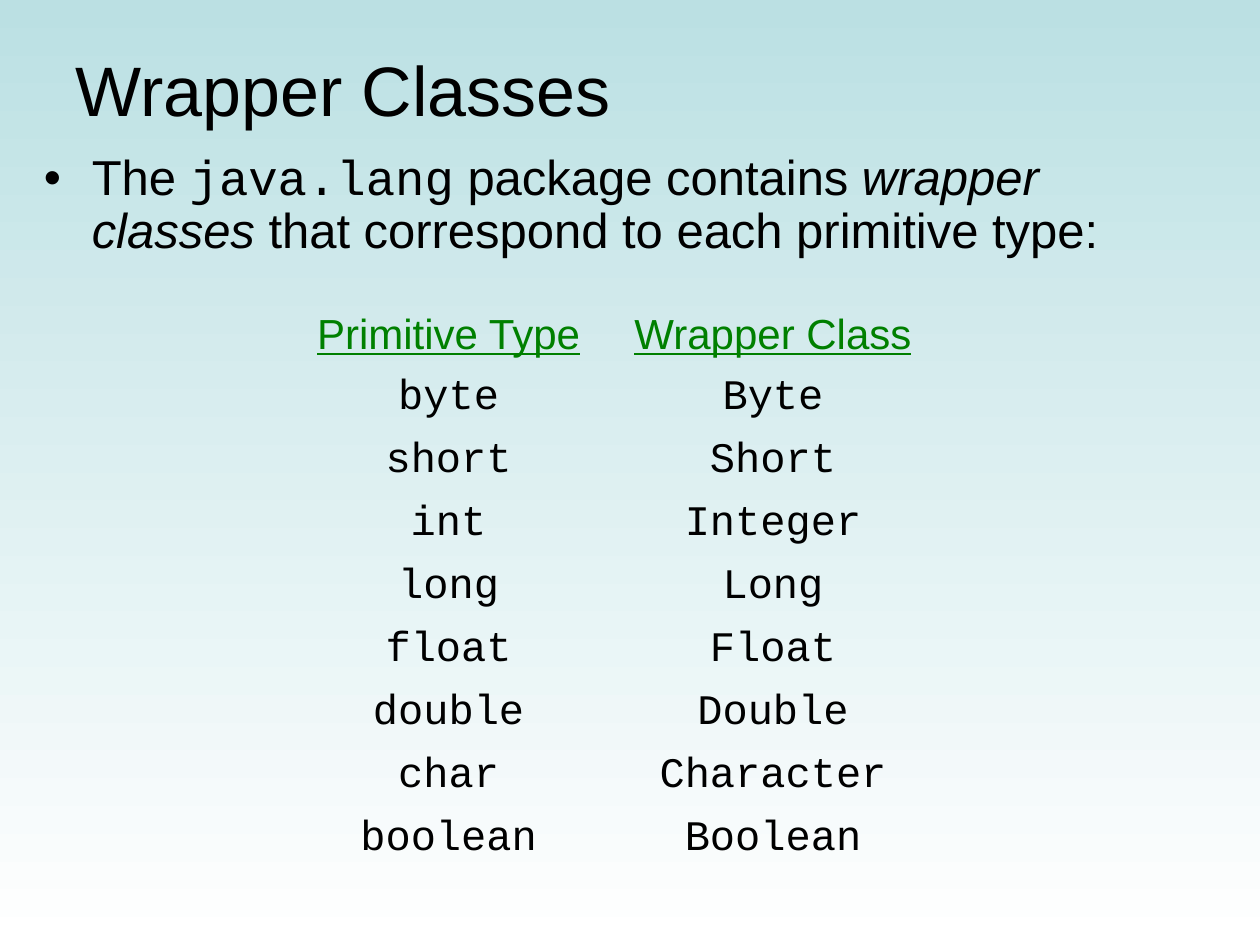
from lxml.etree import SubElement
from pptx import Presentation
from pptx.dml.color import RGBColor
from pptx.enum.text import MSO_ANCHOR, PP_ALIGN
from pptx.oxml.ns import qn
from pptx.util import Inches, Pt

TITLE = "Wrapper Classes"
# (text, style) pieces of the bullet
INTRO = [
    ("The ", None),
    ("java.lang", "code"),
    (" package contains ", None),
    ("wrapper classes", "term"),
    (" that correspond to each primitive type:", None),
]
TYPE_ROWS = [
    ("Primitive Type", "Wrapper Class"),
    ("byte", "Byte"),
    ("short", "Short"),
    ("int", "Integer"),
    ("long", "Long"),
    ("float", "Float"),
    ("double", "Double"),
    ("char", "Character"),
    ("boolean", "Boolean"),
]
COLUMN_WIDTHS = (2.62, 2.53)
ROW_HEIGHT, BYTE_ROW_HEIGHT = 0.48, 0.5

THEME = {
    "sky": RGBColor.from_string("BBE0E3"),
    "white": RGBColor.from_string("FFFFFF"),
    "ink": RGBColor.from_string("000000"),
    "heading": RGBColor.from_string("008000"),
    "text_font": "Arial",
    "code_font": "Courier New",
    "title_size": Pt(40),
    "intro_size": Pt(28),
    "table_size": Pt(24),
}
NO_STYLE_NO_GRID = "{2D5ABB26-0587-4C30-8999-92F81FD0307C}"


def place(shape, left, top, width, height):
    shape.left, shape.top = Inches(left), Inches(top)
    shape.width, shape.height = Inches(width), Inches(height)


def set_font(font, size, name="text_font", color="ink"):
    font.size = THEME[size]
    font.name = THEME[name]
    font.color.rgb = THEME[color]


def paint_background(slide):
    fill = slide.background.fill
    fill.gradient()
    fill.gradient_angle = 270
    for stop, color in zip(fill.gradient_stops, ("sky", "white")):
        stop.color.rgb = THEME[color]


def add_title(slide):
    title = slide.shapes.title
    place(title, 0.5, 0.08, 9.08, 1.25)
    title.text_frame.text = TITLE
    title.text_frame.vertical_anchor = MSO_ANCHOR.MIDDLE
    paragraph = title.text_frame.paragraphs[0]
    paragraph.alignment = PP_ALIGN.LEFT
    set_font(paragraph.font, "title_size")


def add_bullet(paragraph, indent):
    properties = paragraph._p.get_or_add_pPr()
    properties.set("marL", str(Inches(indent)))
    properties.set("indent", str(-Inches(indent)))
    SubElement(properties, qn("a:buFont"), typeface=THEME["text_font"])
    SubElement(properties, qn("a:buChar"), char="•")


def add_intro(slide):
    intro = slide.shapes.add_textbox(
        Inches(0.25), Inches(1.17), Inches(9.42), Inches(1.16))
    intro.text_frame.word_wrap = True
    paragraph = intro.text_frame.paragraphs[0]
    paragraph.line_spacing = 0.9
    paragraph.space_before = Pt(5.6)
    add_bullet(paragraph, 0.38)
    for text, style in INTRO:
        run = paragraph.add_run()
        run.text = text
        set_font(run.font, "intro_size",
                 "code_font" if style == "code" else "text_font")
        if style == "term":
            run.font.italic = True


def add_type_table(slide):
    heights = [ROW_HEIGHT] * len(TYPE_ROWS)
    heights[1] = BYTE_ROW_HEIGHT
    table = slide.shapes.add_table(
        len(TYPE_ROWS), len(COLUMN_WIDTHS), Inches(2.25), Inches(2.42),
        Inches(sum(COLUMN_WIDTHS)), Inches(sum(heights))).table
    table.first_row = table.horz_banding = False
    table._tbl.tblPr.find(qn("a:tableStyleId")).text = NO_STYLE_NO_GRID
    for column, width in zip(table.columns, COLUMN_WIDTHS):
        column.width = Inches(width)
    for index, (row, names) in enumerate(zip(table.rows, TYPE_ROWS)):
        row.height = Inches(heights[index])
        for cell, name in zip(row.cells, names):
            cell.fill.background()
            cell.text = name
            paragraph = cell.text_frame.paragraphs[0]
            paragraph.alignment = PP_ALIGN.CENTER
            if index == 0:
                set_font(paragraph.font, "table_size", color="heading")
                paragraph.font.underline = True
            else:
                set_font(paragraph.font, "table_size", "code_font")


def main():
    presentation = Presentation()
    presentation.slide_width = Inches(10)
    presentation.slide_height = Inches(7.5)
    slide = presentation.slides.add_slide(presentation.slide_layouts[5])
    paint_background(slide)
    add_title(slide)
    add_intro(slide)
    add_type_table(slide)
    presentation.save("out.pptx")


if __name__ == "__main__":
    main()
